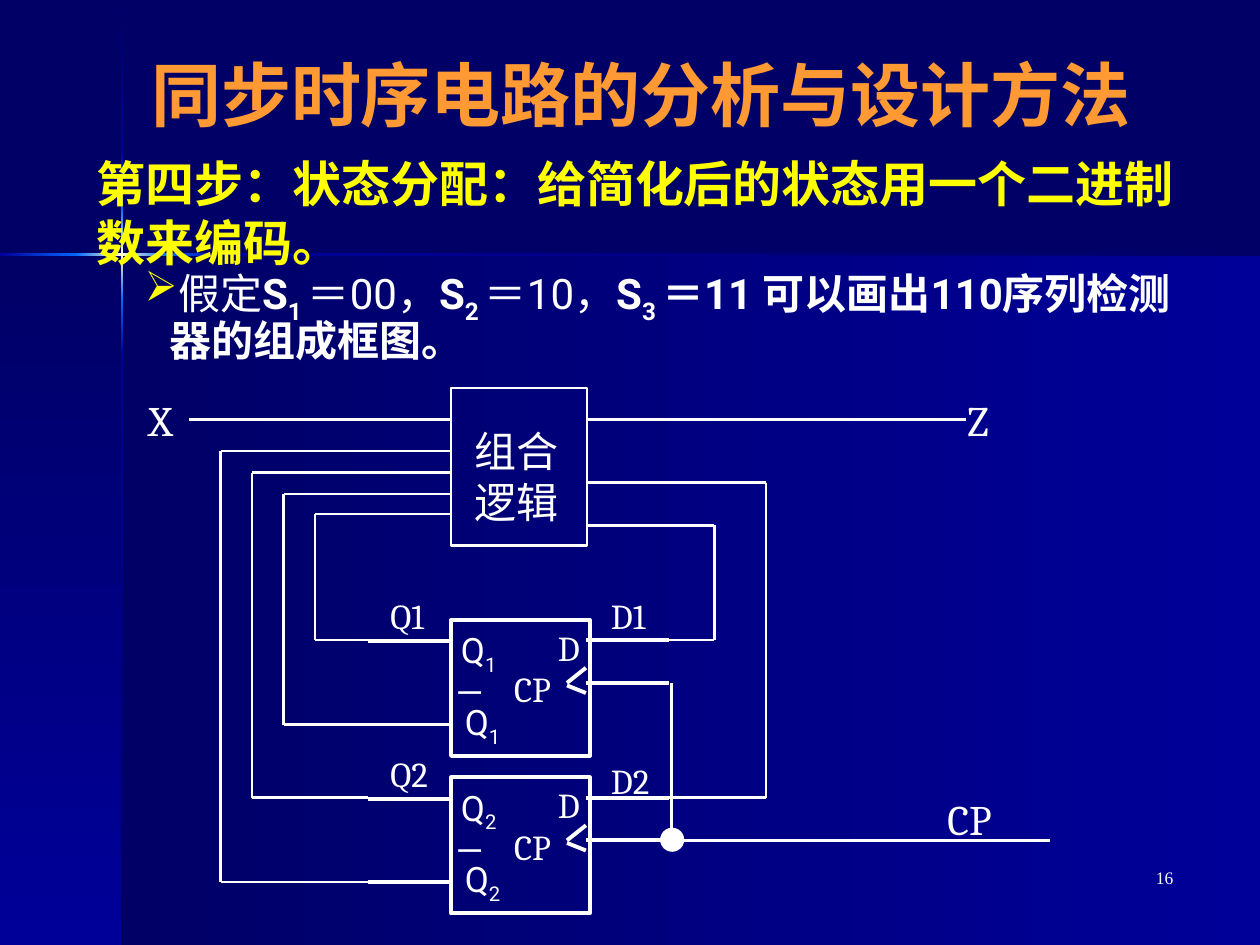
from itertools import pairwise

from pptx import Presentation
from pptx.dml.color import RGBColor
from pptx.enum.shapes import MSO_CONNECTOR, MSO_SHAPE
from pptx.enum.text import MSO_ANCHOR, PP_ALIGN
from pptx.oxml.ns import qn
from pptx.oxml.xmlchemy import OxmlElement
from pptx.util import Inches, Pt

RECT, OVAL = MSO_SHAPE.RECTANGLE, MSO_SHAPE.OVAL
LINE = MSO_CONNECTOR.STRAIGHT
LEFT, MID, RIGHT = PP_ALIGN.LEFT, PP_ALIGN.CENTER, PP_ALIGN.RIGHT
TOP, CENTER = MSO_ANCHOR.TOP, MSO_ANCHOR.MIDDLE
WHITE, YELLOW, ORANGE = "FFFFFF", "FFFF00", "FF9933"
DARK, BLUE, GLOW, CREAM = "000066", "000099", "0066FF", "FFFFCC"
SANS, SERIF, ROMAN = "Roboto", "Cambria", "Times New Roman"


def color(code):
    return RGBColor.from_string(code)


def node(parent, tag, **attrs):
    """Append an XML child with the given attributes."""
    child = OxmlElement(tag)
    for key, value in attrs.items():
        child.set(key, str(value))
    parent.append(child)
    return child


class Board:
    thin, thick = 1.5, 2.25

    def __init__(self, slide):
        self.slide = slide
        fill = slide.background.fill
        fill.solid()
        fill.fore_color.rgb = color(DARK)

    def shape(self, kind, x, y, w, h, fill=None, line=None):
        item = self.slide.shapes.add_shape(
            kind, Inches(x), Inches(y), Inches(w), Inches(h))
        item.shadow.inherit = False
        if fill:
            item.fill.solid()
            item.fill.fore_color.rgb = color(fill)
        else:
            item.fill.background()
        if line:
            item.line.color.rgb = color(WHITE)
            item.line.width = Pt(line)
        else:
            item.line.fill.background()
        return item

    def fade(self, x, y, w, h, codes, down):
        """Draw a bar whose colours run evenly across or down it."""
        fill = self.shape(RECT, x, y, w, h).fill
        fill.gradient()
        fill.gradient_angle = 270 if down else 0
        stops = fill.gradient_stops
        base = stops[0]._gs.getparent()
        for stop in list(base):
            base.remove(stop)
        for i, code in enumerate(codes):
            stop = node(base, "a:gs", pos=i * 100000 // (len(codes) - 1))
            node(stop, "a:srgbClr", val=code)

    def wire(self, *points, width=thin):
        """Join the points with straight connectors."""
        for start, end in pairwise(points):
            item = self.slide.shapes.add_connector(
                LINE, *(Inches(v) for v in start + end))
            item.line.color.rgb = color(WHITE)
            item.line.width = Pt(width)
            node(item._element.spPr, "a:effectLst")

    def text(self, words, x, y, w, h, size=20, font=SERIF, ink=WHITE,
             bold=False, align=LEFT, anchor=TOP, wrap=True, side=0.1,
             space=None, bullet=None):
        """Write a string, or a list of (string, bold, baseline) runs."""
        box = self.slide.shapes.add_textbox(
            Inches(x), Inches(y), Inches(w), Inches(h))
        frame = box.text_frame
        frame.word_wrap = wrap
        frame.vertical_anchor = anchor
        frame.margin_left = frame.margin_right = Inches(side)
        para = frame.paragraphs[0]
        para.alignment = align
        if space:
            para.line_spacing = space
        if bullet:
            props = para._p.get_or_add_pPr()
            props.set("marL", str(Inches(0.5)))
            props.set("indent", str(Inches(-0.2)))
            node(node(props, "a:buClr"), "a:srgbClr", val=YELLOW)
            node(props, "a:buChar", char=bullet)
        runs = [(words, bold, 0)] if isinstance(words, str) else words
        for part, heavy, shift in runs:
            run = para.add_run()
            run.text = part
            run.font.size = Pt(size)
            run.font.name = font
            run.font.bold = heavy
            run.font.color.rgb = color(ink)
            if shift:
                run._r.find(qn("a:rPr")).set("baseline", str(shift * 1000))

    def flip(self, n, y):
        """Draw flip-flop n with its pins, its top edge at y."""
        for x, pins in ((2.92, (0.17, 0.83)), (4.65, (0.16, 0.5))):
            end = 3.58 if x < 3.58 else 5.31
            for pin in pins:
                self.wire((x, y + pin), (end, y + pin), width=self.thick)
        self.shape(RECT, 3.58, y, 1.1, 1.08, line=self.thick)
        self.wire((4.5, y + 0.52), (4.65, y + 0.58), width=self.thick)
        self.wire((4.65, y + 0.38), (4.5, y + 0.5), width=self.thick)
        self.text("D", 4.33, y, 0.37, 0.43)
        self.text("CP", 4.08, y + 0.33, 0.5, 0.43, side=0)
        name = [("Q", False, 0), (str(n), False, -25)]
        for words, x, top in ((name, 3.56, 0.12), ("—", 3.52, 0.41),
                              (name, 3.59, 0.69)):
            self.text(words, x, y + top, 0.78, 0.38, font=SANS, space=Pt(20))


def backdrop(board):
    board.fade(0.97, 2.02, 9.03, 5.48, (DARK, BLUE), False)
    board.fade(0, 2.02, 0.97, 5.48, (DARK, BLUE), True)
    flare = (GLOW, CREAM, GLOW)
    for y, h, codes in ((0.01, 1.2, (DARK, BLUE)), (2.82, 4.68, (BLUE, DARK)),
                        (2.38, 0.44, (GLOW, BLUE)), (1.21, 0.44, (BLUE, GLOW)),
                        (1.65, 0.73, flare)):
        board.fade(0.96, y, 0.02, h, codes, True)
    for x, w, codes in ((1.77, 8.23, (BLUE, DARK)), (0, 0.61, (BLUE, GLOW)),
                        (1.33, 0.44, (GLOW, BLUE)), (0.6, 0.73, flare)):
        board.fade(x, 2.01, w, 0.02, codes, False)


def words(board):
    board.text("16", 7.33, 6.83, 2.08, 0.5, size=10, font=ROMAN, align=RIGHT)
    board.text("同步时序电路的分析与设计方法", 0.5, 0.33, 9.17, 0.83, size=40,
               font=SANS, ink=ORANGE, bold=True, align=MID, anchor=CENTER)
    board.text("第四步：状态分配：给简化后的状态用一个二进制数来编码。",
               0.67, 1.17, 8.92, 5.67, size=28, font=SANS, ink=YELLOW,
               bold=True)
    runs = [("假定", False, 0)]
    for n, value, heavy in ((1, "＝00，", False), (2, "＝10，", False),
                            (3, "＝11 可以画出110序列检测器的组成框图。", True)):
        runs += [("S", True, 0), (f"{n} ", True, -25), (value, heavy, 0)]
    board.text(runs, 0.75, 2.08, 8.67, 0.82, size=24, font=SANS, space=0.9,
               bullet="➢")


def circuit(board):
    board.shape(RECT, 3.58, 3.08, 1.08, 1.25, line=board.thin)
    board.text("组合逻辑", 3.67, 3.33, 1.08, 0.9, size=24)
    loops = zip((4.08, 3.92, 3.75, 3.58), (5.08, 5.75, 6.33, 7))
    for i, (top, low) in enumerate(loops):
        x = 2.5 - 0.25 * i
        board.wire((3.58, top), (x, top), (x, low), (2.92, low))
    board.wire((1.5, 3.33), (3.58, 3.33))
    board.wire((4.67, 3.33), (7.67, 3.33))
    for x, top, low in ((5.67, 4.17, 5.08), (6.08, 3.83, 6.33)):
        board.wire((4.67, top), (x, top), (x, low), (5.25, low))
    board.wire((5.33, 5.42), (5.33, 6.67), (8.33, 6.67))
    board.shape(OVAL, 5.25, 6.58, 0.17, 0.17, fill=WHITE, line=board.thin)
    for name, x, y in (("CP", 7.42, 6.25), ("X", 1.08, 3.08),
                       ("Z", 7.58, 3.08)):
        board.text(name, x, y, 0.92, 0.5, size=24)
    board.flip(1, 4.92)
    board.flip(2, 6.17)
    for name, x, y in (("D1", 4.75, 4.67), ("D2", 4.75, 5.98),
                       ("Q1", 3, 4.67), ("Q2", 3, 5.92)):
        board.text(name, x, y, 0.55, 0.43, wrap=False)


def main():
    deck = Presentation()
    deck.slide_width, deck.slide_height = Inches(10), Inches(7.5)
    board = Board(deck.slides.add_slide(deck.slide_layouts[6]))
    backdrop(board)
    words(board)
    circuit(board)
    deck.save("out.pptx")


if __name__ == "__main__":
    main()
